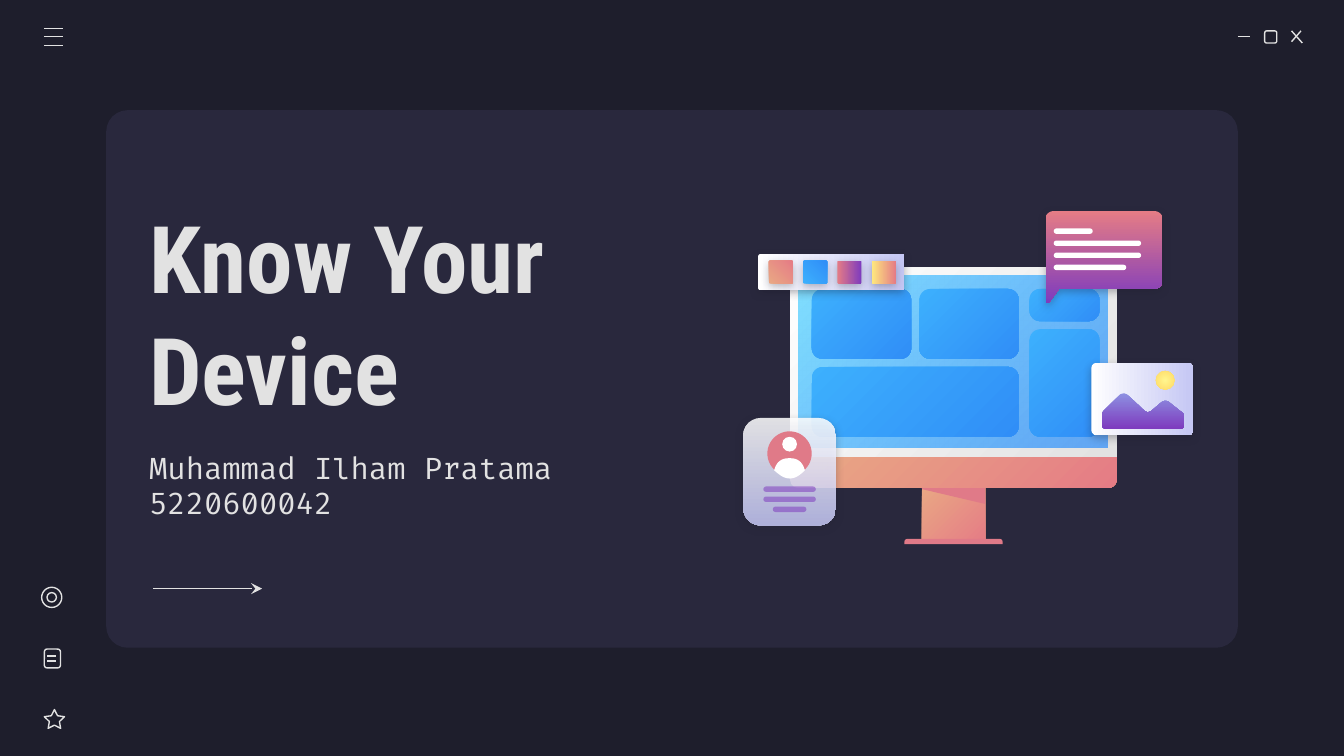
import math
from lxml import etree
from pptx import Presentation, util as u
from pptx.dml.color import RGBColor
from pptx.enum import shapes, text
from pptx.oxml.ns import qn

W = 10
H = W * 9 / 16
COLORS = {
    "night": "1E1E2C", "panel": "29283D", "light": "E2E2E2", "white": "FFFFFF",
    "orange": "E9A984", "coral": "E57C85", "rose": "E07A88", "violet": "7E3BBE",
    "sky": "3DB0FD", "blue": "308EF7", "cyan": "80DFFF", "azure": "318FFA",
    "lilac": "C5C7F4", "iris": "8D90E1", "lemon": "FFF68E", "gold": "FFD966",
    "yellow": "FFEA7D",
}
TITLE = ("Know Your\vDevice", (1.01, 1.44, 4.47, 1.76), 50, "Roboto Condensed", True)
SUBTITLE = ("Muhammad Ilham Pratama\n5220600042", (1.01, 3.38, 3.24, 0.46),
            16, "Fira Code", False)

# Gradients: first colour, last colour, clockwise angle
WARM, COOL = ("orange", "coral", 45), ("sky", "blue", 45)
PAPER = ("white", "lilac", 0)

TILES = [(6.04, 2.15, 0.74, 0.52), (6.04, 2.73, 1.54, 0.52), (6.84, 2.15, 0.74, 0.52),
         (7.66, 2.15, 0.52, 0.24), (7.66, 2.45, 0.52, 0.8)]
MESSAGE_LINES = [0.29, 0.65, 0.65, 0.54]
PROFILE_LINES = [0.39, 0.39, 0.25]
SWATCHES = [("orange", "coral", 315), ("sky", "blue", 315),
            ("coral", "violet", 0), ("yellow", "coral", 0)]
ICON_LINES = [
    (9.21, 0.27, 9.3, 0.27), (9.61, 0.23, 9.69, 0.32), (9.68, 0.23, 9.61, 0.31),
    (0.33, 0.21, 0.47, 0.21), (0.33, 0.27, 0.47, 0.27), (0.33, 0.34, 0.47, 0.34),
    (0.35, 4.88, 0.42, 4.88), (0.35, 4.92, 0.42, 4.92),
]
ICON_OUTLINES = [
    ("ROUNDED_RECTANGLE", (9.41, 0.23, 0.09, 0.09), 0.17),
    ("ROUNDED_RECTANGLE", (0.33, 4.83, 0.12, 0.14), 0.17),
    ("OVAL", (0.31, 4.37, 0.15, 0.15), None),
    ("OVAL", (0.35, 4.41, 0.07, 0.07), None),
    ("STAR_5_POINT", (0.33, 5.28, 0.15, 0.14), 0.25),
]
# Outlines: x, y, corner rounding
STAND_SHADE = [(6.86, 3.61, 0), (6.86, 3.64, 0), (7.33, 3.75, 0), (7.33, 3.61, 0)]
BUBBLE = [(7.78, 1.57, 0.07), (8.65, 1.57, 0.07), (8.65, 2.15, 0.07), (7.88, 2.15, 0),
          (7.8, 2.26, 0.02), (7.78, 2.25, 0.01)]
SHOULDERS = [(5.76, 3.5, 0), (5.79, 3.41, 0.08), (5.96, 3.41, 0.08), (5.99, 3.5, 0),
             (5.88, 3.6, 0.12)]
HILLS = [(8.2, 3.07, 0.02), (8.36, 2.91, 0.05), (8.54, 3.08, 0.04), (8.67, 2.97, 0.04),
         (8.81, 3.08, 0.02), (8.81, 3.19, 0.03), (8.2, 3.19, 0.03)]


def rgb(name):
    return RGBColor.from_string(COLORS[name])


def inches(values):
    return [u.Inches(v) for v in values]


def paint(sp, fill, alpha=(), shadow=False):
    """Fill with a colour or gradient, without outline; alpha is percent per stop."""
    sp.line.fill.background()
    if isinstance(fill, str):
        sp.fill.solid()
        sp.fill.fore_color.rgb = rgb(fill)
    else:
        *names, angle = fill
        sp.fill.gradient()
        sp.fill.gradient_angle = (360 - angle) % 360
        for stop, name in zip(sp.fill.gradient_stops, names):
            stop.color.rgb = rgb(name)
    for clr, a in zip(sp._element.spPr.iter(qn("a:srgbClr")), alpha):
        etree.SubElement(clr, qn("a:alpha"), val=str(a * 1000))
    sp.shadow.inherit = False
    if shadow:
        effects = sp._element.spPr.find(qn("a:effectLst"))
        outer = etree.SubElement(effects, qn("a:outerShdw"), blurRad=str(u.Pt(4.5)),
                                 dist=str(u.Pt(1.5)), dir="5400000",
                                 algn="bl", rotWithShape="0")
        clr = etree.SubElement(outer, qn("a:srgbClr"), val=COLORS["night"])
        etree.SubElement(clr, qn("a:alpha"), val="30000")
    return sp


def add(kind, box, fill, **look):
    sp = slide.shapes.add_shape(getattr(shapes.MSO_SHAPE, kind), *inches(box))
    return paint(sp, fill, **look)


def rounded(box, radius, fill, **look):
    sp = add("ROUNDED_RECTANGLE", box, fill, **look)
    sp.adjustments[0] = radius / min(box[2:])
    return sp


def half_rounded(box, top, bottom, fill):
    sp = add("ROUND_2_SAME_RECTANGLE", box, fill)
    sp.adjustments[0], sp.adjustments[1] = (r / min(box[2:]) for r in (top, bottom))


def outline(corners, fill, **look):
    """Closed freeform whose corners are rounded with sampled quadratic curves."""
    pts = []
    for i, (x, y, r) in enumerate(corners):
        if not r:
            pts.append((x, y))
            continue
        ends = []
        for nx, ny, _ in (corners[i - 1], corners[(i + 1) % len(corners)]):
            k = min(r / math.dist((x, y), (nx, ny)), 1)
            ends.append((x + (nx - x) * k, y + (ny - y) * k))
        (ax, ay), (bx, by) = ends
        for t in (n / 8 for n in range(9)):
            p, q, s = (1 - t) ** 2, 2 * t * (1 - t), t * t
            pts.append((p * ax + q * x + s * bx, p * ay + q * y + s * by))
    pts = [(round(x * 1000), round(y * 1000)) for x, y in pts]
    fb = slide.shapes.build_freeform(*pts[0], scale=u.Inches(1) / 1000)
    fb.add_line_segments(pts[1:], close=True)
    return paint(fb.convert_to_shape(), fill, **look)


def line(ends, head=None):
    c = slide.shapes.add_connector(shapes.MSO_CONNECTOR.STRAIGHT, *inches(ends))
    c.line.color.rgb = rgb("light")
    c.line.width = u.Pt(0.75)
    if head:
        etree.SubElement(c.line._get_or_add_ln(), qn("a:tailEnd"), type=head)
    etree.SubElement(c._element.spPr, qn("a:effectLst"))


def write(sp, content, box, size, font, bold):
    sp.left, sp.top, sp.width, sp.height = inches(box)
    tf = sp.text_frame
    tf.text = content
    tf.word_wrap = True
    tf.auto_size = text.MSO_AUTO_SIZE.NONE
    tf.vertical_anchor = text.MSO_ANCHOR.MIDDLE
    tf.margin_left = tf.margin_right = tf.margin_top = tf.margin_bottom = u.Inches(0.1)
    for p in tf.paragraphs:
        p.alignment = text.PP_ALIGN.LEFT
        p.line_spacing = 1.0
        p.space_before = u.Pt(0)
        for r in p.runs:
            r.font.size, r.font.name, r.font.bold = u.Pt(size), font, bold
            r.font.color.rgb = rgb("light")


prs = Presentation()
prs.slide_width, prs.slide_height = inches((W, H))
slide = prs.slides.add_slide(prs.slide_layouts[0])
slide.background.fill.solid()
slide.background.fill.fore_color.rgb = rgb("night")

panel = rounded((0.79, 0.82, 8.42, 4), 0.16, "panel")
slide.shapes._spTree.insert(2, panel._element)  # behind the placeholders
write(slide.shapes.title, *TITLE)
write(slide.placeholders[1], *SUBTITLE)

# Monitor
add("RECTANGLE", (6.86, 3.61, 0.47, 0.43), WARM)
half_rounded((6.73, 4.01, 0.73, 0.04), 0.02, 0, "rose")
outline(STAND_SHADE, "rose")
half_rounded((5.88, 3.39, 2.43, 0.24), 0, 0.06, WARM)
half_rounded((5.88, 1.99, 2.43, 1.41), 0.06, 0, ("white", "light", 45))
add("RECTANGLE", (5.94, 2.05, 2.3, 1.28), ("cyan", "azure", 45), alpha=(100, 72))
for tile in TILES:
    rounded(tile, 0.08, COOL)

# Message bubble
outline(BUBBLE, ("coral", "violet", 90), shadow=True)
for i, width in enumerate(MESSAGE_LINES):
    rounded((7.84, 1.7 + i * 0.09, width, 0.04), 0.02, "white")

# Profile card
rounded((5.53, 3.11, 0.69, 0.8), 0.13, ("white", "lilac", 90), alpha=(86, 86), shadow=True)
add("OVAL", (5.71, 3.21, 0.33, 0.33), "rose")
add("OVAL", (5.82, 3.25, 0.11, 0.11), "white")
outline(SHOULDERS, "white")
for i, width in enumerate(PROFILE_LINES):
    rounded((5.875 - width / 2, 3.62 + i * 0.075, width, 0.04), 0.02, "violet", alpha=(54,))

# Photo card
rounded((8.12, 2.7, 0.76, 0.54), 0.04, PAPER, shadow=True)
outline(HILLS, ("iris", "violet", 90))
sun = add("OVAL", (8.6, 2.76, 0.14, 0.14), ("lemon", "gold", 0))
grad = sun._element.spPr.find(qn("a:gradFill"))
grad.remove(grad.find(qn("a:lin")))
radial = etree.SubElement(grad, qn("a:path"), path="circle")
etree.SubElement(radial, qn("a:fillToRect"), l="50000", t="50000", r="50000", b="50000")

# Colour strip
rounded((5.64, 1.89, 1.09, 0.27), 0.02, PAPER, shadow=True)
for i, swatch in enumerate(SWATCHES):
    rounded((5.72 + i * 0.255, 1.94, 0.18, 0.17), 0.01, swatch, shadow=True)

# Icons and arrow
for kind, box, adj in ICON_OUTLINES:
    sp = add(kind, box, "night")
    sp.fill.background()
    sp.line.color.rgb = rgb("light")
    sp.line.width = u.Pt(0.75)
    if adj:
        sp.adjustments[0] = adj
for ends in ICON_LINES:
    line(ends)
line((1.14, 4.38, 1.95, 4.38), head="stealth")

prs.save("out.pptx")
